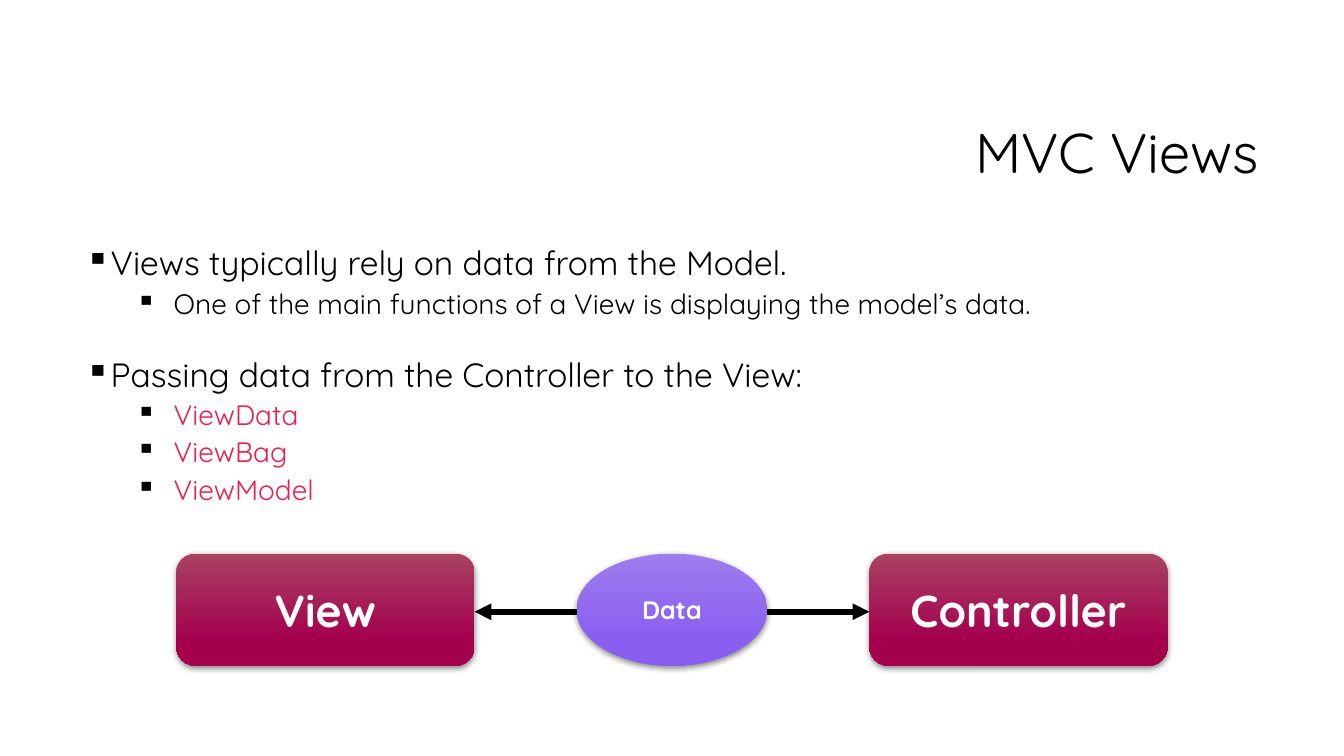
from lxml.etree import SubElement
from pptx import Presentation
from pptx.dml.color import RGBColor
from pptx.enum.shapes import MSO_CONNECTOR, MSO_SHAPE
from pptx.enum.text import MSO_ANCHOR, PP_ALIGN
from pptx.oxml.ns import qn
from pptx.util import Pt

FONT = "Quicksand"
COLORS = {
    "text": "000000",
    "accent": "E5224E",
    "label": "FFFFFF",
    "wine": ("A94263", "A4004E"),
    "violet": ("9D7DED", "8A5EF1"),
}
TITLE = "MVC Views"
BULLETS = [
    (0, "Views typically rely on data from the Model.", "text", 10),
    (1, "One of the main functions of a View is displaying the model’s data.", "text", 5),
    (0, "Passing data from the Controller to the View:", "text", 27),
    (1, "ViewData", "accent", 5),
    (1, "ViewBag", "accent", 5),
    (1, "ViewModel", "accent", 5),
]
LEVELS = [
    {"size": 24, "margin": 18, "hanging": 18},
    {"size": 20, "margin": 63, "hanging": 27},
]
NODES = {
    "view": ("View", MSO_SHAPE.ROUNDED_RECTANGLE, 126, 213, "wine", 32),
    "data": ("Data", MSO_SHAPE.OVAL, 412, 136, "violet", 18),
    "controller": ("Controller", MSO_SHAPE.ROUNDED_RECTANGLE, 621, 213, "wine", 32),
}
NODE_TOP, NODE_HEIGHT = 395.5, 80
ARROW_Y = 437


def rgb(code):
    """Turn a hex string into a colour."""
    return RGBColor.from_string(code)


def style(paragraph, size, color, bold=False):
    """Set the font of every run in a paragraph."""
    for run in paragraph.runs:
        run.font.name, run.font.size, run.font.bold = FONT, Pt(size), bold
        run.font.color.rgb = rgb(color)


def add_title(slide):
    """Write the right-aligned heading."""
    frame = slide.shapes.add_textbox(Pt(228), Pt(60.5), Pt(678), Pt(101.5)).text_frame
    frame.word_wrap, frame.vertical_anchor = True, MSO_ANCHOR.MIDDLE
    frame.text = TITLE
    heading = frame.paragraphs[0]
    heading.alignment, heading.line_spacing = PP_ALIGN.RIGHT, 0.9
    style(heading, 40, COLORS["text"])


def add_bullets(slide):
    """Write the two-level bullet list."""
    frame = slide.shapes.add_textbox(Pt(54), Pt(172.8), Pt(906), Pt(367)).text_frame
    frame.word_wrap = True
    frame.text = "\n".join(text for _, text, _, _ in BULLETS)
    for paragraph, (level, _, color, gap) in zip(frame.paragraphs, BULLETS):
        look = LEVELS[level]
        paragraph.level, paragraph.line_spacing = level, 0.9
        paragraph.space_before = Pt(gap)
        style(paragraph, look["size"], COLORS[color])
        props = paragraph._p.get_or_add_pPr()
        props.set("marL", str(Pt(look["margin"])))
        props.set("indent", str(-Pt(look["hanging"])))
        SubElement(SubElement(props, qn("a:buClr")), qn("a:srgbClr"), val=COLORS["text"])
        SubElement(props, qn("a:buChar"), char="▪")


def add_node(slide, label, outline, left, width, palette, size):
    """Draw one shaded node with its label."""
    node = slide.shapes.add_shape(outline, Pt(left), Pt(NODE_TOP), Pt(width), Pt(NODE_HEIGHT))
    node.fill.gradient()
    node.fill.gradient_angle = 270
    for stop, position, color in zip(node.fill.gradient_stops, (0, 0.78), COLORS[palette]):
        stop.position, stop.color.rgb = position, rgb(color)
    node.line.fill.background()
    node.shadow.inherit = False
    shadow = SubElement(
        node._element.spPr.find(qn("a:effectLst")), qn("a:outerShdw"),
        blurRad=str(Pt(4.5)), dist=str(Pt(1.5)), dir="5400000", algn="ctr", rotWithShape="0",
    )
    SubElement(SubElement(shadow, qn("a:srgbClr"), val=COLORS["text"]), qn("a:alpha"), val="48000")
    frame = node.text_frame
    frame.text, frame.vertical_anchor = label, MSO_ANCHOR.MIDDLE
    frame.paragraphs[0].alignment = PP_ALIGN.CENTER
    style(frame.paragraphs[0], size, COLORS["label"], bold=True)


def add_arrow(slide, start, end):
    """Draw a level arrow between two horizontal positions."""
    arrow = slide.shapes.add_connector(
        MSO_CONNECTOR.STRAIGHT, Pt(start), Pt(ARROW_Y), Pt(end), Pt(ARROW_Y))
    arrow.line.width, arrow.line.color.rgb = Pt(4), rgb(COLORS["text"])
    SubElement(arrow.line._get_or_add_ln(), qn("a:tailEnd"), type="triangle")
    SubElement(arrow._element.spPr, qn("a:effectLst"))


def main():
    """Build the slide and save it."""
    deck = Presentation()
    deck.slide_width, deck.slide_height = Pt(960), Pt(540)
    slide = deck.slides.add_slide(deck.slide_layouts[6])
    add_title(slide)
    add_bullets(slide)
    for node in NODES.values():
        add_node(slide, *node)
    left = {name: node[2] for name, node in NODES.items()}
    right = {name: node[2] + node[3] for name, node in NODES.items()}
    add_arrow(slide, left["data"], right["view"])
    add_arrow(slide, right["data"], left["controller"])
    deck.save("out.pptx")


if __name__ == "__main__":
    main()
